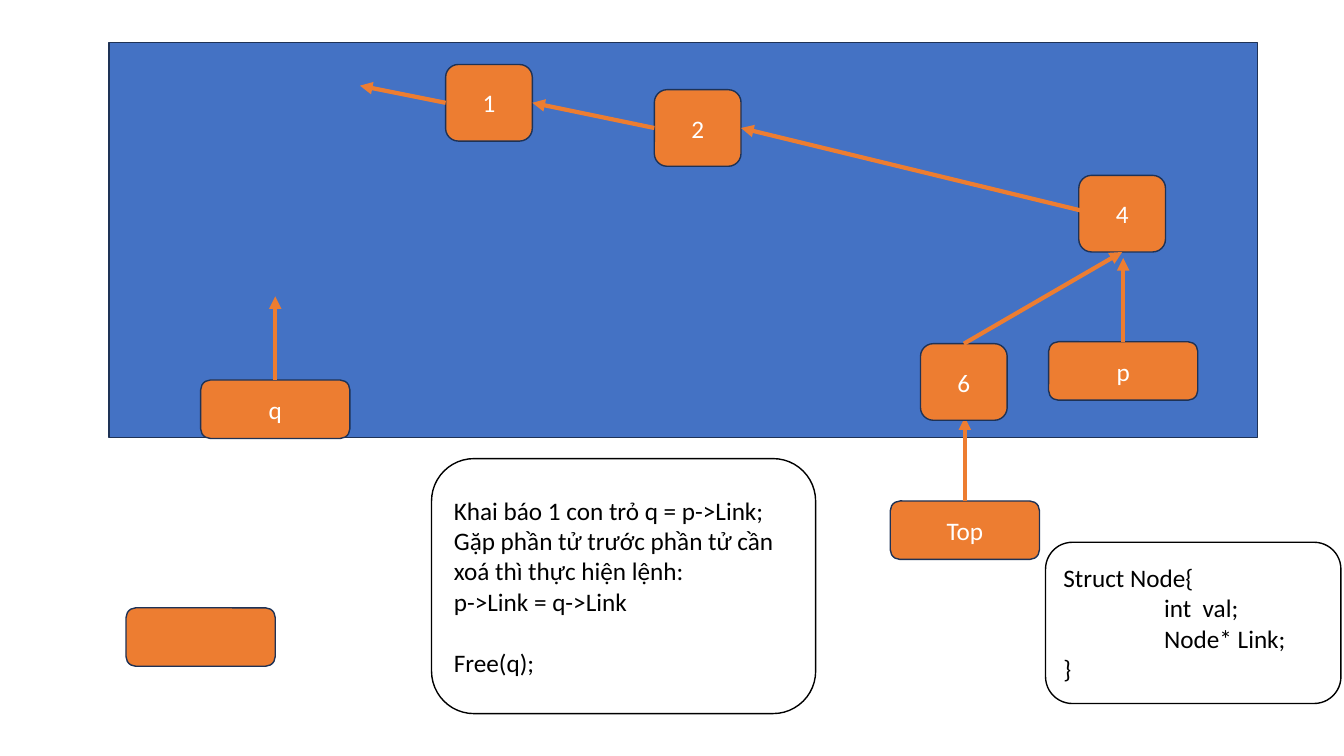
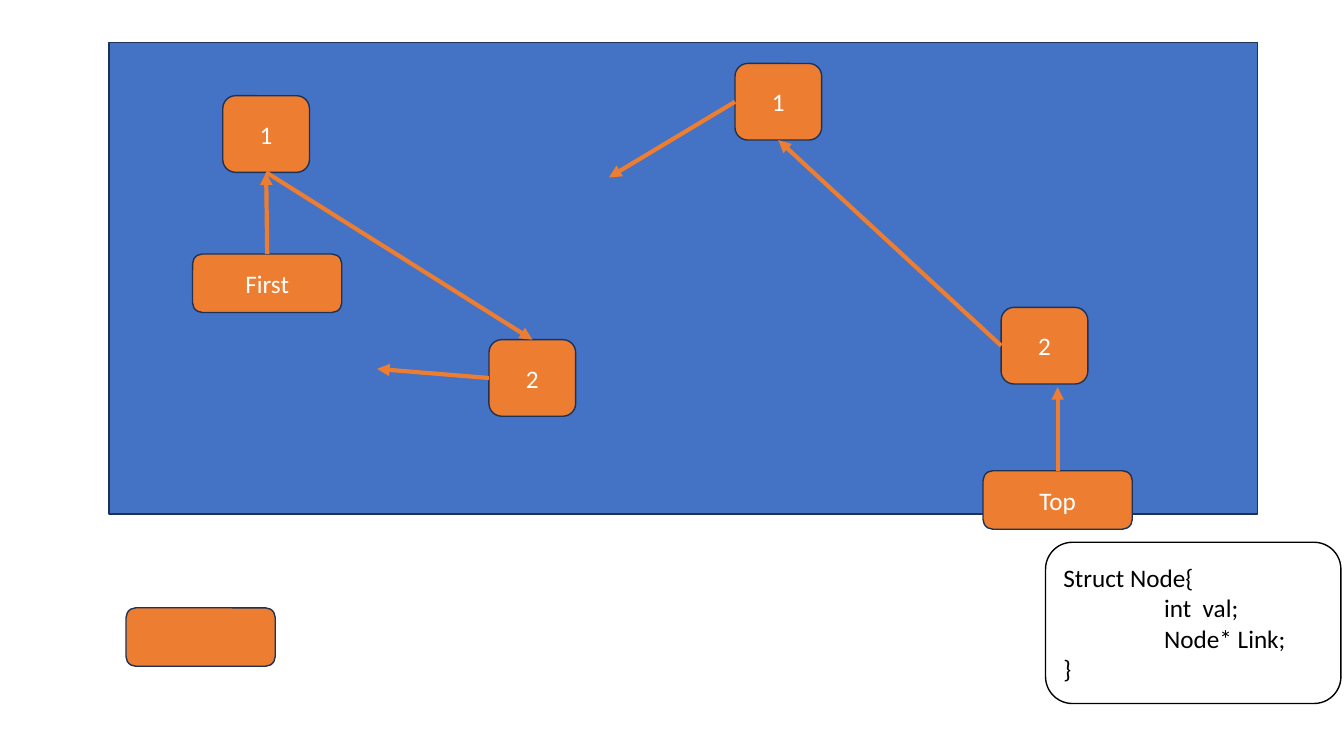
from collections import namedtuple

from lxml.etree import SubElement
from pptx import Presentation
from pptx.dml.color import RGBColor
from pptx.enum.shapes import MSO_CONNECTOR, MSO_SHAPE
from pptx.enum.text import MSO_ANCHOR, PP_ALIGN
from pptx.oxml.ns import qn
from pptx.util import Inches, Pt

COLORS = {
    "memory": "4472C4",
    "node": "ED7D31",
    "outline": "1E3256",
    "paper": "FFFFFF",
    "ink": "000000",
}
FONT = "Calibri"
TEXT_SIZE = 18
LINE_HEIGHT = 22  # points taken by one line of text
NODE_SIZE = (0.86, 0.76)
LABEL_SIZE = (1.48, 0.58)
POINTER_RISE = 0.83
TOP, LEFT, BOTTOM, RIGHT = range(4)

Box = namedtuple("Box", "left top width height")
Line = namedtuple("Line", "text indent before", defaults=(0, 0))

STRUCT_BOX = Box(10.37, 5.38, 2.93, 1.6)
STRUCT_LINES = [
    Line("Struct Node{"),
    Line("int  val;", indent=1),
    Line("Node* Link;", indent=1),
    Line("}"),
]
DELETE_BOX = Box(4.28, 4.55, 3.81, 2.53)
DELETE_LINES = [
    Line("Khai báo 1 con trỏ q = p->Link;"),
    Line("Gặp phần tử trước phần tử cần xoá thì thực hiện lệnh:"),
    Line("p->Link = q->Link"),
    Line("Free(q);", before=LINE_HEIGHT),
]


def color(name):
    return RGBColor.from_string(COLORS[name])


def add_box(page, box, fill, outline="outline", kind=MSO_SHAPE.ROUNDED_RECTANGLE):
    shape = page.shapes.add_shape(kind, *map(Inches, box))
    shape.shadow.inherit = False
    shape.fill.solid()
    shape.fill.fore_color.rgb = color(fill)
    shape.line.color.rgb = color(outline)
    shape.line.width = Pt(1)
    return shape


def write(shape, lines, ink, align):
    frame = shape.text_frame
    frame.word_wrap = True
    frame.vertical_anchor = MSO_ANCHOR.MIDDLE
    for index, line in enumerate(lines):
        paragraph = frame.add_paragraph() if index else frame.paragraphs[0]
        paragraph.text = line.text
        paragraph.alignment = align
        if line.indent:
            paragraph._p.get_or_add_pPr().set("marL", str(Inches(line.indent)))
        if line.before:
            paragraph.space_before = Pt(line.before)
        paragraph.font.name = FONT
        paragraph.font.size = Pt(TEXT_SIZE)
        paragraph.font.color.rgb = color(ink)


# Places inside the memory area are offsets from its top left corner
def place(memory, offset):
    return memory.left + offset[0], memory.top + offset[1]


def add_tag(page, memory, offset, size, text):
    shape = add_box(page, Box(*place(memory, offset), *size), "node")
    write(shape, [Line(text)], "paper", PP_ALIGN.CENTER)
    return shape


def add_node(page, memory, offset, text):
    return add_tag(page, memory, offset, NODE_SIZE, text)


def add_label(page, memory, offset, text):
    return add_tag(page, memory, offset, LABEL_SIZE, text)


def side_middle(shape, side):
    across = {TOP: 0.5, LEFT: 0, BOTTOM: 0.5, RIGHT: 1}[side]
    down = {TOP: 0, LEFT: 0.5, BOTTOM: 1, RIGHT: 0.5}[side]
    return (int(shape.left + across * shape.width),
            int(shape.top + down * shape.height))


def add_arrow(page, memory, start, end):
    """Each end is a (shape, side) pair or an offset inside the memory area."""
    joined = [not isinstance(tip[0], (int, float)) for tip in (start, end)]
    points = [side_middle(*tip) if is_joined else map(Inches, place(memory, tip))
              for tip, is_joined in zip((start, end), joined)]
    arrow = page.shapes.add_connector(MSO_CONNECTOR.STRAIGHT, *points[0], *points[1])
    if joined[0]:
        arrow.begin_connect(*start)
    if joined[1]:
        arrow.end_connect(*end)
    arrow.line.color.rgb = color("node")
    arrow.line.width = Pt(3)
    SubElement(arrow.line._get_or_add_ln(), qn("a:tailEnd"), type="triangle")
    SubElement(arrow._element.spPr, qn("a:effectLst"))


def add_pointer(page, memory, offset, text):
    """A label with an arrow that rises from it."""
    label = add_label(page, memory, offset, text)
    tip = (offset[0] + LABEL_SIZE[0] / 2, offset[1] - POINTER_RISE)
    add_arrow(page, memory, (label, TOP), tip)


def add_note(page, box, lines):
    note = add_box(page, box, "paper", "ink")
    write(note, lines, "ink", PP_ALIGN.LEFT)


# Parts found on every slide
def add_page(deck, memory):
    page = deck.slides.add_slide(deck.slide_layouts[6])
    add_box(page, memory, "memory", kind=MSO_SHAPE.RECTANGLE)
    add_box(page, Box(1.25, 6.03, *LABEL_SIZE), "node")
    add_note(page, STRUCT_BOX, STRUCT_LINES)
    return page


# Slide 1: deleting an element from the stack
def delete_slide(deck, memory):
    page = add_page(deck, memory)
    add_pointer(page, memory, (7.75, 4.55), "Top")
    one = add_node(page, memory, (3.34, 0.22), "1")
    two = add_node(page, memory, (5.41, 0.47), "2")
    four = add_node(page, memory, (9.62, 1.32), "4")
    six = add_node(page, memory, (8.05, 2.99), "6")
    add_arrow(page, memory, (9.69, 1.68), (two, RIGHT))
    add_arrow(page, memory, (two, LEFT), (one, RIGHT))
    add_arrow(page, memory, (one, LEFT), (2.49, 0.43))
    add_arrow(page, memory, (six, TOP), (four, BOTTOM))
    add_pointer(page, memory, (9.32, 2.97), "p")
    add_note(page, DELETE_BOX, DELETE_LINES)
    add_pointer(page, memory, (0.91, 3.35), "q")


# Slide 2: a list read from First beside a stack read from Top
def compare_slide(deck, memory):
    page = add_page(deck, memory)
    add_pointer(page, memory, (8.67, 4.25), "Top")

    list_one = add_node(page, memory, (1.13, 0.53), "1")
    list_two = add_node(page, memory, (3.77, 2.95), "2")
    add_arrow(page, memory, (list_two, LEFT), (2.66, 3.24))
    add_arrow(page, memory, (list_one, BOTTOM), (list_two, TOP))

    stack_one = add_node(page, memory, (6.21, 0.21), "1")
    stack_two = add_node(page, memory, (8.85, 2.63), "2")
    add_arrow(page, memory, (stack_two, LEFT), (stack_one, BOTTOM))
    add_arrow(page, memory, (stack_one, LEFT), (4.96, 1.34))

    first = add_label(page, memory, (0.83, 2.1), "First")
    add_arrow(page, memory, (first, TOP), (list_one, BOTTOM))


def main():
    deck = Presentation()
    deck.slide_width, deck.slide_height = Inches(13.33), Inches(7.5)
    delete_slide(deck, Box(1.08, 0.42, 11.39, 3.92))
    compare_slide(deck, Box(1.08, 0.42, 11.39, 4.68))
    deck.save("out.pptx")


if __name__ == "__main__":
    main()
